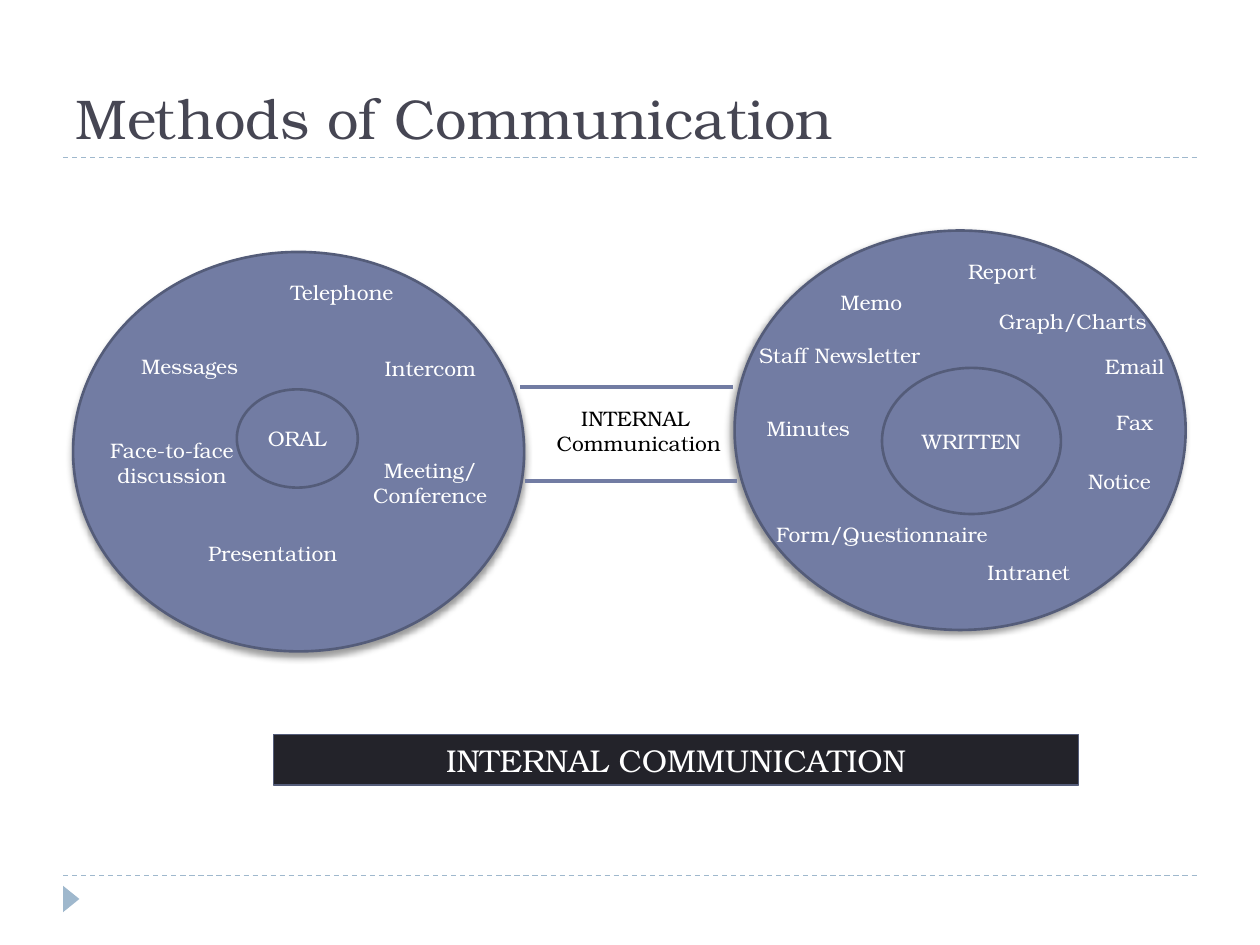
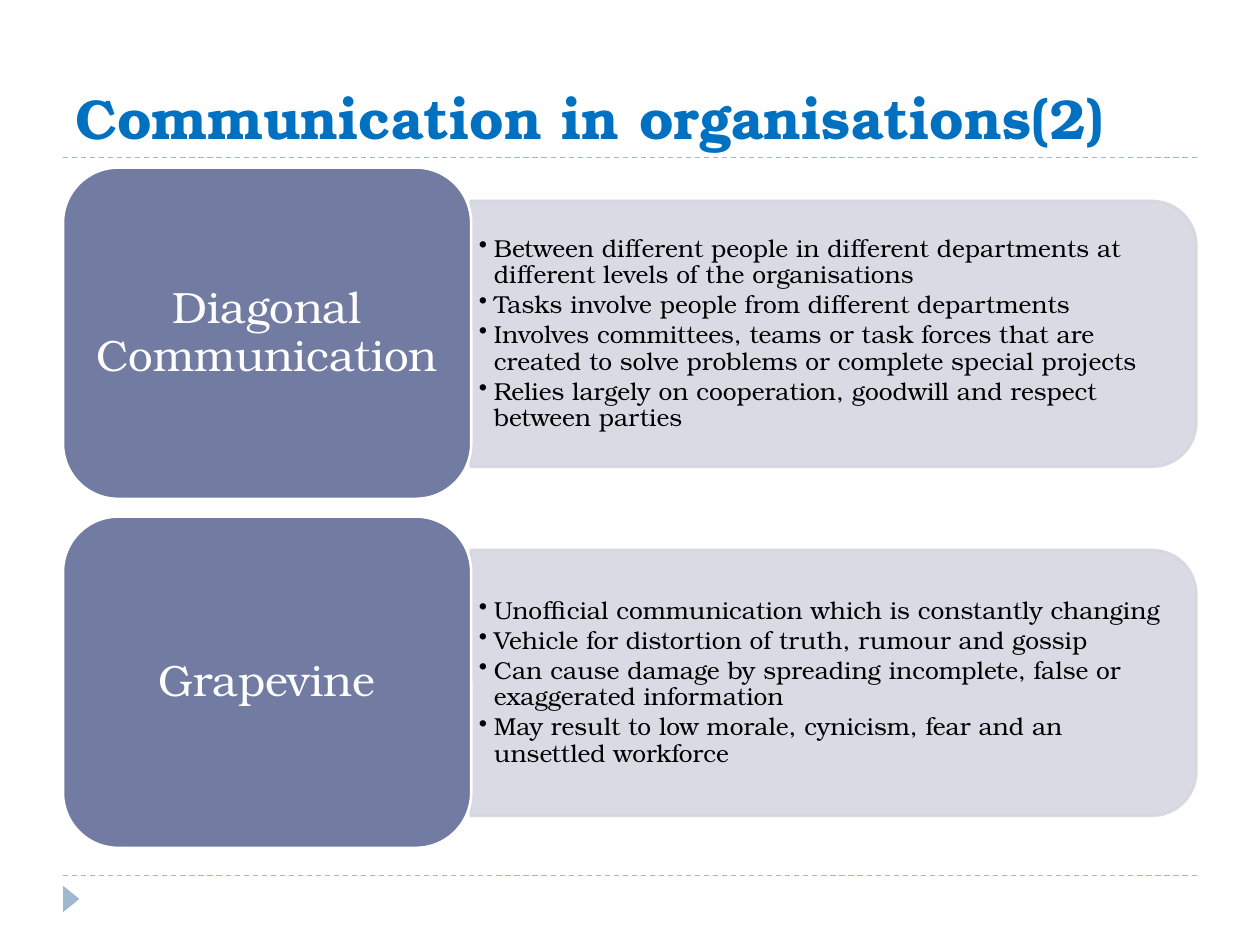
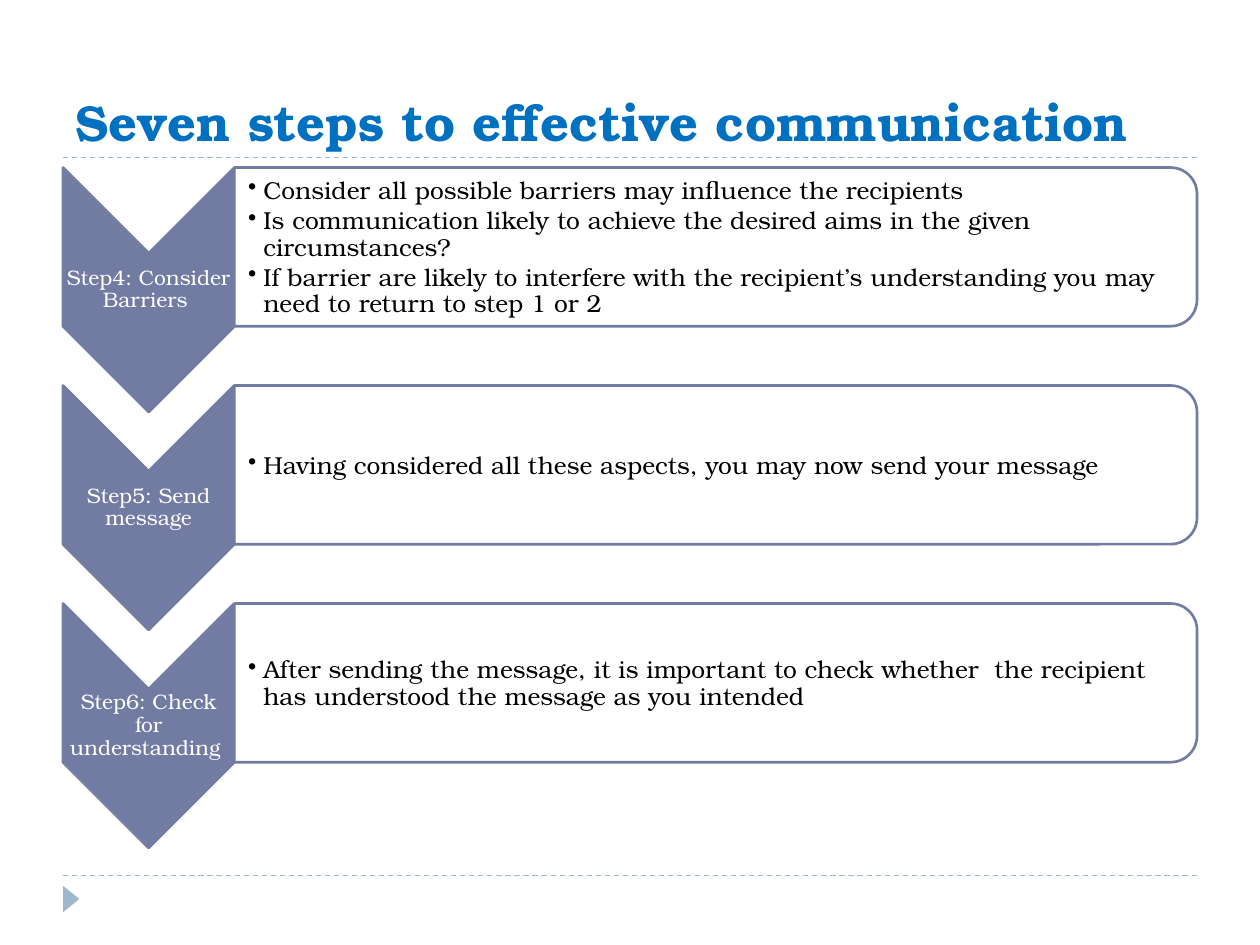
from dataclasses import dataclass
from typing import NamedTuple

from lxml import etree
from pptx import Presentation
from pptx.dml.color import RGBColor
from pptx.enum.dml import MSO_LINE
from pptx.enum.shapes import MSO_CONNECTOR, MSO_SHAPE
from pptx.enum.text import MSO_ANCHOR, MSO_AUTO_SIZE, PP_ALIGN
from pptx.oxml.ns import qn
from pptx.util import Emu, Pt

PX = 9144  # EMU in one px, 100 px to the inch
TITLE_ONLY = 5
ELLIPSE, RECT, ROUND_RECT = MSO_SHAPE.OVAL, MSO_SHAPE.RECTANGLE, MSO_SHAPE.ROUNDED_RECTANGLE
ROUND_TOP, CHEVRON = MSO_SHAPE.ROUND_2_SAME_RECTANGLE, MSO_SHAPE.CHEVRON
TRIANGLE = MSO_SHAPE.ISOSCELES_TRIANGLE
STRAIGHT, DASH = MSO_CONNECTOR.STRAIGHT, MSO_LINE.DASH
TOP, MIDDLE, BOTTOM = MSO_ANCHOR.TOP, MSO_ANCHOR.MIDDLE, MSO_ANCHOR.BOTTOM
LEFT, CENTER = PP_ALIGN.LEFT, PP_ALIGN.CENTER
NO_FIT = MSO_AUTO_SIZE.NONE


@dataclass(frozen=True)
class Theme:
    font: str = "TeX Gyre Bonum"
    title_dark: str = "464653"
    title_blue: str = "0070C0"
    accent: str = "727CA3"
    outline: str = "545C79"
    rule: str = "9FB8CD"
    panel: str = "D5D7E0"
    banner: str = "23232A"
    black: str = "000000"
    white: str = "FFFFFF"
    title: float = 32
    long_title: float = 28.8
    heading: float = 25
    banner_text: float = 18
    body: float = 14
    label: float = 12


T = Theme()


class Box(NamedTuple):
    x: int
    y: int
    w: int
    h: int

    def emu(self) -> list[Emu]:
        return [Emu(v * PX) for v in self]

    def down(self, dy: int) -> "Box":
        return self._replace(y=self.y + dy)

    def turned(self) -> "Box":
        """The unrotated frame that fills this box after a quarter turn."""
        d = (self.w - self.h) // 2
        return Box(self.x + d, self.y - d, self.h, self.w)


class Style(NamedTuple):
    size: float
    color: str
    bold: bool = False
    align: PP_ALIGN = CENTER
    anchor: MSO_ANCHOR = MIDDLE
    insets: tuple[int, int, int, int] = (10, 5, 10, 5)
    spacing: float = 1.0
    bullet: bool = False
    wrap: bool = True


class Label(NamedTuple):
    text: str
    x: int
    y: int
    w: int = 167
    h: int = 30


class Group(NamedTuple):
    circle: Box
    shadow_angle: int
    hub: Box
    hub_text: str
    labels: list[Label]


class Topic(NamedTuple):
    heading: str
    points: list[str]


LABEL = Style(T.label, T.white)
FLOATING = LABEL._replace(anchor=TOP)
BRIDGE = FLOATING._replace(color=T.black, wrap=False)
BANNER = Style(T.banner_text, T.white)
HEADING = Style(T.heading, T.white, spacing=0.9)
STEP = LABEL._replace(insets=(1, 1, 1, 1), spacing=0.9)
POINTS = Style(T.body, T.black, align=LEFT, insets=(6, 3, 6, 3), spacing=0.9, bullet=True)
STEP_POINTS = POINTS._replace(insets=(11, 1, 1, 1))

GROUPS = [
    Group(Box(58, 200, 358, 317), 90, Box(188, 309, 96, 78), "ORAL", [
        Label("Telephone", 188, 217),
        Label("Messages", 67, 276),
        Label("Face-to-face discussion", 53, 342, h=50),
        Label("Presentation", 133, 424),
        Label("Meeting/ Conference", 258, 358, h=50),
        Label("Intercom", 258, 277),
    ]),
    Group(Box(583, 183, 358, 317), 135, Box(700, 292, 142, 116), "WRITTEN", [
        Label("Report", 712, 200),
        Label("Staff Newsletter", 583, 267),
        Label("Minutes", 558, 325),
        Label("Form/Questionnaire", 594, 409, w=212),
        Label("Email", 817, 276),
        Label("Graph/Charts", 768, 240),
        Label("Memo", 608, 225),
        Label("Fax", 817, 320),
        Label("Notice", 805, 367),
        Label("Intranet", 733, 439),
    ]),
]

CHANNELS = [
    Topic("Diagonal Communication", [
        "Between different people in different departments at different levels of the organisations",
        "Tasks involve people from different departments",
        "Involves committees, teams or task forces that are created to solve problems or complete "
        "special projects",
        "Relies largely on cooperation, goodwill and respect between parties",
    ]),
    Topic("Grapevine", [
        "Unofficial communication which is constantly changing",
        "Vehicle for distortion of truth, rumour and gossip",
        "Can cause damage by spreading incomplete, false or exaggerated information",
        "May result to low morale, cynicism, fear and an unsettled workforce",
    ]),
]

STEPS = [
    Topic("Step4: Consider Barriers ", [
        "Consider all possible barriers may influence the recipients",
        "Is communication likely to achieve the desired aims in the given circumstances?",
        "If barrier are likely to interfere with the recipient’s understanding you may need to "
        "return to step 1 or 2",
    ]),
    Topic("Step5: Send message", [
        "Having considered all these aspects, you may now send your message",
    ]),
    Topic("Step6: Check for understanding ", [
        "After sending the message, it is important to check whether  the recipient has "
        "understood the message as you intended",
    ]),
]


def rgb(color: str) -> RGBColor:
    return RGBColor.from_string(color)


def write(tf, lines: list[str], style: Style) -> None:
    left, top, right, bottom = (Emu(v * PX) for v in style.insets)
    frame = {"word_wrap": style.wrap, "auto_size": NO_FIT, "vertical_anchor": style.anchor,
             "margin_left": left, "margin_top": top, "margin_right": right,
             "margin_bottom": bottom}
    for name, value in frame.items():
        setattr(tf, name, value)
    for i, line in enumerate(lines):
        p = tf.paragraphs[0] if i == 0 else tf.add_paragraph()
        if style.bullet:
            add_bullet(p)
        p.alignment, p.line_spacing = style.align, style.spacing
        r = p.add_run()
        r.text = line
        font = {"name": T.font, "size": Pt(style.size), "bold": style.bold}
        for name, value in font.items():
            setattr(r.font, name, value)
        r.font.color.rgb = rgb(style.color)


def add_bullet(p) -> None:
    pPr = p._p.get_or_add_pPr()
    pPr.set("marL", str(12 * PX))
    pPr.set("indent", str(-12 * PX))
    etree.SubElement(pPr, qn("a:buChar")).set("char", "•")
    p.space_after = Pt(2)


def add_text(s, box: Box, lines: list[str], style: Style) -> None:
    write(s.shapes.add_textbox(*box.emu()).text_frame, lines, style)


def add_block(s, kind: MSO_SHAPE, box: Box, fill: str, line: str | None = None,
              width: float = 1.5, turn: bool = False):
    """Draw a filled shape; with turn it is rotated a quarter and still fills box."""
    sp = s.shapes.add_shape(kind, *(box.turned() if turn else box).emu())
    sp.rotation = 90 if turn else 0
    sp.shadow.inherit = False
    sp.fill.solid()
    sp.fill.fore_color.rgb = rgb(fill)
    if line:
        sp.line.color.rgb = rgb(line)
        sp.line.width = Pt(width)
    else:
        sp.line.fill.background()
    return sp


def add_shadow(sp, angle: int) -> None:
    effects = sp._element.spPr.find(qn("a:effectLst"))
    shadow = etree.SubElement(effects, qn("a:outerShdw"), blurRad=str(Pt(4)), dist=str(Pt(3)),
                              dir=str(angle * 60000), rotWithShape="0")
    color = etree.SubElement(shadow, qn("a:srgbClr"), val=T.black)
    etree.SubElement(color, qn("a:alpha"), val="40000")


def make_translucent(sp, percent: int) -> None:
    for color in sp._element.spPr.iter(qn("a:srgbClr")):
        etree.SubElement(color, qn("a:alpha"), val=str(percent * 1000))


def add_rule(s, x1: int, x2: int, y: int, color: str, width: float, dash=None) -> None:
    c = s.shapes.add_connector(STRAIGHT, *(Emu(v * PX) for v in (x1, y, x2, y)))
    c.line.color.rgb = rgb(color)
    c.line.width = Pt(width)
    if dash:
        c.line.dash_style = dash
    etree.SubElement(c._element.spPr, qn("a:effectLst"))


def new_slide(prs, title: str, color: str = T.title_blue, size: float = T.title,
              bold: bool = True):
    s = prs.slides.add_slide(prs.slide_layouts[TITLE_ONLY])
    for y in (695, 125):
        add_rule(s, 50, 950, y, T.rule, 0.75, DASH)
    add_block(s, TRIANGLE, Box(50, 703, 13, 21), T.rule, turn=True)
    sp = s.shapes.title
    sp.left, sp.top, sp.width, sp.height = Box(50, 17, 900, 108).emu()
    write(sp.text_frame, [title], Style(size, color, bold, LEFT, BOTTOM))
    return s


def build_methods(prs) -> None:
    s = new_slide(prs, "Methods of Communication", T.title_dark, bold=False)
    for group in GROUPS:
        circle = add_block(s, ELLIPSE, group.circle, T.accent, T.outline)
        add_shadow(circle, group.shadow_angle)
        hub = add_block(s, ELLIPSE, group.hub, T.accent, T.outline)
        write(hub.text_frame, [group.hub_text], LABEL)
        for text, *box in group.labels:
            add_text(s, Box(*box), [text], FLOATING)
    add_rule(s, 413, 582, 307, T.accent, 2.25)
    add_rule(s, 417, 585, 382, T.accent, 2.25)
    add_text(s, Box(431, 317, 152, 50), ["INTERNAL ", "Communication"], BRIDGE)
    banner = add_block(s, RECT, Box(217, 583, 639, 40), T.banner, T.outline, 0.75)
    write(banner.text_frame, ["INTERNAL COMMUNICATION"], BANNER)


def build_channels(prs) -> None:
    s = new_slide(prs, "Communication in organisations(2)")
    for i, topic in enumerate(CHANNELS):
        dy = i * 277
        panel = add_block(s, ROUND_TOP, Box(374, 159, 576, 211).down(dy), T.panel, T.panel,
                          turn=True)
        make_translucent(panel, 90)
        add_text(s, Box(374, 170, 566, 190).down(dy), topic.points, POINTS)
        card = add_block(s, ROUND_RECT, Box(50, 133, 324, 263).down(dy), T.accent, T.white)
        write(card.text_frame, [topic.heading], HEADING)


def build_steps(prs) -> None:
    s = new_slide(prs, "Seven steps to effective communication", size=T.long_title)
    for i, topic in enumerate(STEPS):
        dy = i * 173
        add_block(s, CHEVRON, Box(50, 133, 136, 194).down(dy), T.accent, T.accent, turn=True)
        add_text(s, Box(50, 201, 136, 58).down(dy), [topic.heading], STEP)
        add_block(s, ROUND_TOP, Box(186, 133, 764, 126).down(dy), T.white, T.accent, turn=True)
        add_text(s, Box(186, 140, 758, 114).down(dy), topic.points, STEP_POINTS)


def main() -> None:
    prs = Presentation()
    prs.slide_width, prs.slide_height = Emu(1000 * PX), Emu(750 * PX)
    build_methods(prs)
    build_channels(prs)
    build_steps(prs)
    prs.save("out.pptx")


if __name__ == "__main__":
    main()
